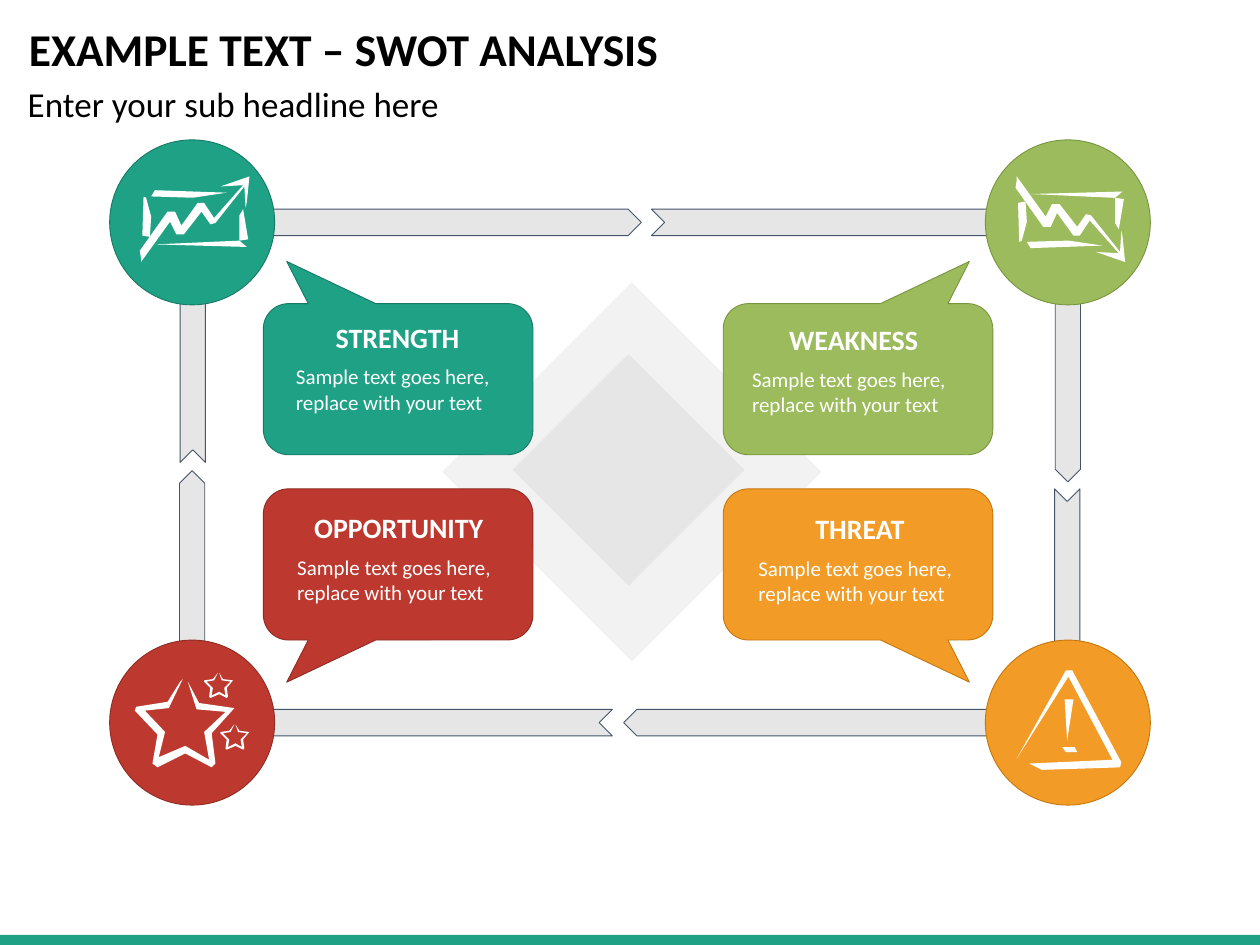
from pptx import Presentation
from pptx.dml.color import RGBColor
from pptx.enum.shapes import MSO_SHAPE
from pptx.enum.text import MSO_ANCHOR, MSO_AUTO_SIZE, PP_ALIGN
from pptx.oxml.ns import qn
from pptx.util import Inches, Pt

RECTANGLE, OVAL, DIAMOND = MSO_SHAPE.RECTANGLE, MSO_SHAPE.OVAL, MSO_SHAPE.DIAMOND
PENTAGON, CHEVRON = MSO_SHAPE.PENTAGON, MSO_SHAPE.CHEVRON
CALLOUT = MSO_SHAPE.ROUNDED_RECTANGULAR_CALLOUT
LEFT, CENTER = PP_ALIGN.LEFT, PP_ALIGN.CENTER
TOP, MIDDLE = MSO_ANCHOR.TOP, MSO_ANCHOR.MIDDLE
FIT_SHAPE, NO_FIT = MSO_AUTO_SIZE.SHAPE_TO_FIT_TEXT, MSO_AUTO_SIZE.NONE

WHITE, BLACK, GREY, PALE, NAVY = "FFFFFF", "000000", "E7E6E6", "F2F2F2", "445469"
TEAL = "1EA185"
SAMPLE = "Sample text goes here, replace with your text"

# name, fill, outline, column (0 left, 1 right), row (0 top, 1 bottom), heading corner
QUADRANTS = [
    ("STRENGTH", TEAL, "177964", 0, 0, (2.13, 2.44)),
    ("WEAKNESS", "9BBB5C", "77943E", 1, 0, (5.75, 2.46)),
    ("OPPORTUNITY", "BD392F", "8E2B23", 0, 1, (2.14, 3.95)),
    ("THREAT", "F29B26", "C6770C", 1, 1, (5.8, 3.96)),
]

# preset, left, top, width, height, rotation
BARS = [
    (PENTAGON, 1.87, 1.66, 3.22, 0.21, 0),
    (CHEVRON, 5.17, 1.66, 2.99, 0.21, 0),
    (PENTAGON, 4.95, 5.63, 3.22, 0.21, 180),
    (CHEVRON, 1.87, 5.63, 2.99, 0.21, 180),
    (PENTAGON, 0.47, 4.69, 2.11, 0.2, 270),
    (CHEVRON, 0.55, 2.59, 1.96, 0.2, 270),
    (PENTAGON, 7.42, 2.67, 2.11, 0.2, 90),
    (CHEVRON, 7.49, 4.76, 1.96, 0.2, 90),
]

RISING_CHART = [
    [(1.12, 2.05), (1.11, 1.99), (1.33, 1.68), (1.39, 1.68), (1.44, 1.79), (1.57, 1.61),
     (1.62, 1.61), (1.7, 1.73), (1.93, 1.47), (1.75, 1.48), (1.98, 1.4), (1.96, 1.6),
     (1.95, 1.65), (1.94, 1.48), (1.71, 1.77), (1.67, 1.78), (1.6, 1.68), (1.46, 1.86),
     (1.4, 1.86), (1.35, 1.76), (1.12, 2.08)],
    [(1.16, 1.57), (1.2, 1.72), (1.19, 1.88), (1.13, 1.87), (1.14, 1.56)],
    [(1.2, 1.56), (1.23, 1.51), (1.8, 1.53), (1.53, 1.57)],
    [(1.93, 1.66), (1.9, 1.71), (1.9, 1.91), (1.97, 1.9)],
    [(1.23, 1.94), (1.9, 1.91), (1.96, 1.96)],
]
WARNING_SIGN = [
    [(8.07, 6.02), (8.46, 5.32), (8.51, 5.32), (8.9, 6.05), (8.89, 6.09), (8.27, 6.11),
     (8.17, 6.06), (8.83, 6.03), (8.48, 5.37)],
    [(8.47, 5.88), (8.45, 5.55), (8.52, 5.55)],
    [(8.43, 5.93), (8.53, 5.93), (8.55, 5.97), (8.46, 5.97)],
]
LARGE_STAR = [
    (1.43, 5.41), (1.33, 5.57), (1.08, 5.61), (1.07, 5.64), (1.25, 5.83), (1.21, 6.06),
    (1.25, 6.09), (1.47, 5.98), (1.68, 6.09), (1.71, 6.06), (1.68, 5.82), (1.86, 5.62),
    (1.58, 5.58), (1.49, 5.41), (1.56, 5.63), (1.79, 5.65), (1.62, 5.81), (1.66, 6.03),
    (1.47, 5.92), (1.26, 6.01), (1.31, 5.81), (1.15, 5.64), (1.34, 5.62), (1.45, 5.39),
]
SMALL_STAR = [
    (1.73, 5.34), (1.69, 5.39), (1.62, 5.4), (1.62, 5.41), (1.67, 5.46), (1.66, 5.53),
    (1.67, 5.54), (1.74, 5.51), (1.8, 5.54), (1.81, 5.53), (1.8, 5.46), (1.85, 5.4),
    (1.77, 5.39), (1.74, 5.34), (1.76, 5.4), (1.83, 5.41), (1.78, 5.46), (1.79, 5.52),
    (1.74, 5.49), (1.68, 5.52), (1.69, 5.46), (1.64, 5.41), (1.7, 5.4),
]


def rgb(value):
    return RGBColor.from_string(value)


def moved(outline, dx, dy):
    return [(x + dx, y + dy) for x, y in outline]


def mirrored(outline, dx, axis):
    """Shift an outline sideways and turn it upside down about a height."""
    return [(x + dx, 2 * axis - y) for x, y in outline]


class SlideBuilder:
    font = "Calibri"
    outline_width = Pt(0.5)

    def __init__(self, slide):
        self.slide = slide

    def paint(self, shape, fill, line=None):
        shape.shadow.inherit = False
        shape.fill.solid()
        shape.fill.fore_color.rgb = rgb(fill)
        if line:
            shape.line.color.rgb = rgb(line)
            shape.line.width = self.outline_width
        else:
            shape.line.fill.background()

    def preset(self, kind, left, top, width, height, fill, line=None, rotation=0):
        shape = self.slide.shapes.add_shape(
            kind, Inches(left), Inches(top), Inches(width), Inches(height))
        self.paint(shape, fill, line)
        shape.rotation = rotation
        return shape

    def callout(self, left, top, width, height, fill, line, pointer):
        bubble = self.preset(CALLOUT, left, top, width, height, fill, line)
        for index, value in enumerate((*pointer, 0.167)):
            bubble.adjustments[index] = value

    def icon(self, outlines):
        group = self.slide.shapes.add_group_shape()
        for outline in outlines:
            start, *rest = [(Inches(x), Inches(y)) for x, y in outline]
            builder = group.shapes.build_freeform(*start)
            builder.add_line_segments(rest, close=True)
            self.paint(builder.convert_to_shape(), WHITE)

    def add_text(self, frame, text, size, color, bold=False, align=LEFT, spacing=1.0):
        frame.word_wrap = True
        paragraph = frame.paragraphs[0]
        paragraph.alignment = align
        paragraph.line_spacing = spacing
        paragraph.space_before = Pt(0)
        run = paragraph.add_run()
        run.text = text
        run.font.name = self.font
        run.font.size = Pt(size)
        run.font.bold = bold
        run.font.color.rgb = rgb(color)

    def textbox(self, left, top, width, height, text, size, **style):
        box = self.slide.shapes.add_textbox(
            Inches(left), Inches(top), Inches(width), Inches(height))
        self.add_text(box.text_frame, text, size, WHITE, **style)
        box.text_frame.auto_size = FIT_SHAPE

    def placeholder(self, index, left, top, width, height, text, size, anchor, bold=False):
        holder = self.slide.placeholders[index]
        holder.left, holder.top = Inches(left), Inches(top)
        holder.width, holder.height = Inches(width), Inches(height)
        frame = holder.text_frame
        frame.auto_size = NO_FIT
        frame.vertical_anchor = anchor
        properties = frame.paragraphs[0]._p.get_or_add_pPr()
        properties.set("marL", "0")
        properties.set("indent", "0")
        properties.append(properties.makeelement(qn("a:buNone"), {}))
        self.add_text(frame, text, size, BLACK, bold, spacing=0.9)


def main():
    deck = Presentation()
    deck.slide_width, deck.slide_height = Inches(10), Inches(7.5)
    page = SlideBuilder(deck.slides.add_slide(deck.slide_layouts[1]))

    page.placeholder(0, 0.13, 0.17, 8.62, 0.48, "EXAMPLE TEXT – SWOT ANALYSIS",
                     26, MIDDLE, bold=True)
    page.placeholder(1, 0.12, 0.64, 5.52, 0.64, "Enter your sub headline here", 20, TOP)

    page.preset(RECTANGLE, 0, 7.42, 10, 0.08, TEAL)
    page.preset(DIAMOND, 3.51, 2.24, 3.01, 3.01, PALE)
    page.preset(DIAMOND, 4.07, 2.81, 1.84, 1.84, GREY)
    for kind, left, top, width, height, rotation in BARS:
        page.preset(kind, left, top, width, height, GREY, NAVY, rotation)

    for name, fill, line, column, row, (left, top) in QUADRANTS:
        page.preset(OVAL, 0.87 + 6.95 * column, 1.11 + 3.97 * row, 1.31, 1.31, fill, line)
        pointer = (0.413 * (2 * column - 1), 0.779 * (2 * row - 1))
        page.callout(2.09 + 3.65 * column, 2.41 + 1.47 * row, 2.14, 1.2, fill, line, pointer)
        page.textbox(left, top, 2.05, 0.42, name, 16, bold=True, align=CENTER, spacing=1.2)
        page.textbox(left + 0.12, top + 0.4, 1.82, 0.5, SAMPLE, 12)

    page.icon(RISING_CHART)
    page.icon([mirrored(outline, 6.95, 1.74) for outline in RISING_CHART])
    page.icon([LARGE_STAR, SMALL_STAR, moved(SMALL_STAR, 0.13, 0.41)])
    page.icon(WARNING_SIGN)

    deck.save("out.pptx")


if __name__ == "__main__":
    main()
